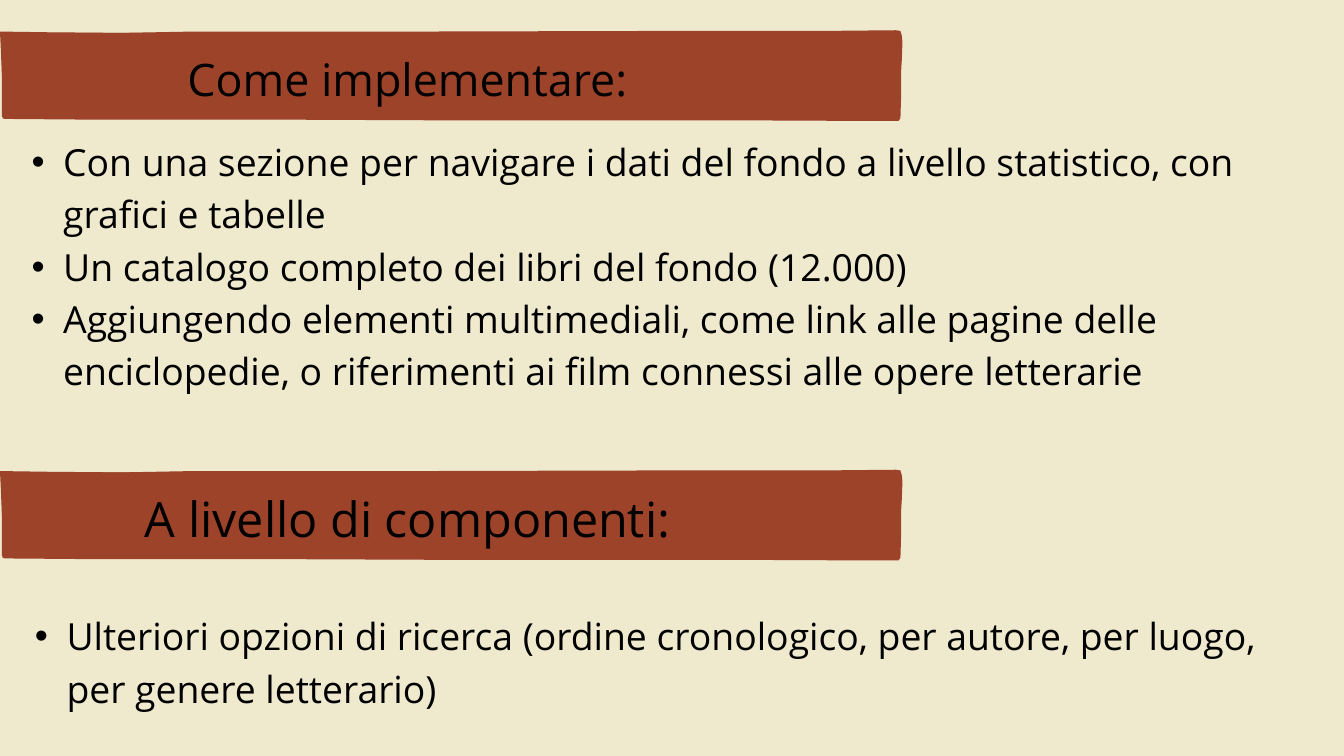
from lxml import etree
from pptx import Presentation
from pptx.dml.color import RGBColor
from pptx.enum.text import MSO_ANCHOR, MSO_AUTO_SIZE, PP_ALIGN
from pptx.oxml.ns import qn
from pptx.util import Inches, Pt

CREAM = RGBColor(0xEF, 0xE9, 0xCE)
RUST = RGBColor(0x9D, 0x43, 0x2A)
BLACK = RGBColor(0, 0, 0)
FONT = "Open Sans"
CENTER, LEFT = PP_ALIGN.CENTER, PP_ALIGN.LEFT
TOP = MSO_ANCHOR.TOP
FIT_SHAPE = MSO_AUTO_SIZE.SHAPE_TO_FIT_TEXT
LINE_RATIO = 1.4
BULLET_SIZE = 40
HUNDREDTH = Inches(0.01)

SECTIONS = [
    {
        "banner_top": 0.44,
        "heading": "Come implementare:",
        "heading_size": 48,
        "heading_at": (2.46, 0.63, 7.21, 0.89),
        "bullets": [
            "Con una sezione per navigare i dati del fondo a livello statistico, con grafici e tabelle",
            "Un catalogo completo dei libri del fondo (12.000)",
            "Aggiungendo elementi multimediali, come link alle pagine delle enciclopedie, "
            "o riferimenti ai film connessi alle opere letterarie",
        ],
        "bullets_at": (0, 1.96, 18.88, 3.83),
    },
    {
        "banner_top": 6.98,
        "heading": "A livello di componenti:",
        "heading_size": 52,
        "heading_at": (1.69, 7.13, 8.76, 0.97),
        "bullets": [
            "Ulteriori opzioni di ricerca (ordine cronologico, per autore, per luogo, per genere letterario)",
        ],
        "bullets_at": (0.05, 9.02, 19.26, 1.51),
    },
]

BANNER_PANEL = [(1337, 133), (4, 132), (2, 5), (1339, 4)]
BANNER_EDGE = [
    (0, 3), (70, 4), (180, 5), (287, 3), (380, 3), (616, 3), (1007, 2), (1229, 2),
    (1333, 1), (1340, 2), (1342, 9), (1343, 18), (1342, 46), (1341, 62), (1341, 98),
    (1340, 132), (1337, 136), (1297, 136), (1077, 135), (638, 135), (407, 134),
    (240, 134), (132, 134), (6, 133), (3, 129), (3, 71), (1, 23),
]


def add_banner(page, top):
    group = page.shapes.add_group_shape()
    for outline in (BANNER_PANEL, BANNER_EDGE):
        builder = group.shapes.build_freeform(*outline[0], scale=HUNDREDTH)
        builder.add_line_segments(outline[1:], close=True)
        part = builder.convert_to_shape(0, Inches(top))
        part.shadow.inherit = False
        part.fill.solid()
        part.fill.fore_color.rgb = RUST
        part.line.fill.background()


def add_bullet(para):
    para.level = 1
    props = para._p.get_or_add_pPr()
    props.set("marL", str(Inches(0.94)))
    props.set("indent", str(Inches(-0.47)))
    etree.SubElement(props, qn("a:buFont"), typeface="Arial")
    etree.SubElement(props, qn("a:buChar"), char="•")


def fill_text(box, place, lines, size, align, bulleted=False):
    box.left, box.top, box.width, box.height = map(Inches, place)
    frame = box.text_frame
    frame.margin_left = frame.margin_top = frame.margin_right = frame.margin_bottom = 0
    frame.word_wrap = True
    frame.auto_size = FIT_SHAPE
    frame.vertical_anchor = TOP
    frame.text = "\n".join(lines)
    for para in frame.paragraphs:
        if bulleted:
            add_bullet(para)
        para.alignment = align
        para.line_spacing = Pt(size * LINE_RATIO)
        para.space_before = Pt(0)
        para.font.size = Pt(size)
        para.font.name = FONT
        para.font.color.rgb = BLACK


def add_heading(page, is_title):
    if not is_title:
        return page.shapes.add_textbox(0, 0, 0, 0)
    title = page.shapes.title
    title.element.getparent().append(title.element)
    return title


def main():
    """Build the slide on implementation and components."""
    deck = Presentation()
    deck.slide_width, deck.slide_height = Inches(20), Inches(11.25)
    page = deck.slides.add_slide(deck.slide_layouts[5])
    page.background.fill.solid()
    page.background.fill.fore_color.rgb = CREAM
    for index, section in enumerate(SECTIONS):
        add_banner(page, section["banner_top"])
        heading = add_heading(page, index == 0)
        fill_text(heading, section["heading_at"], [section["heading"]], section["heading_size"], CENTER)
        box = page.shapes.add_textbox(0, 0, 0, 0)
        fill_text(box, section["bullets_at"], section["bullets"], BULLET_SIZE, LEFT, bulleted=True)
    deck.save("out.pptx")


if __name__ == "__main__":
    main()
